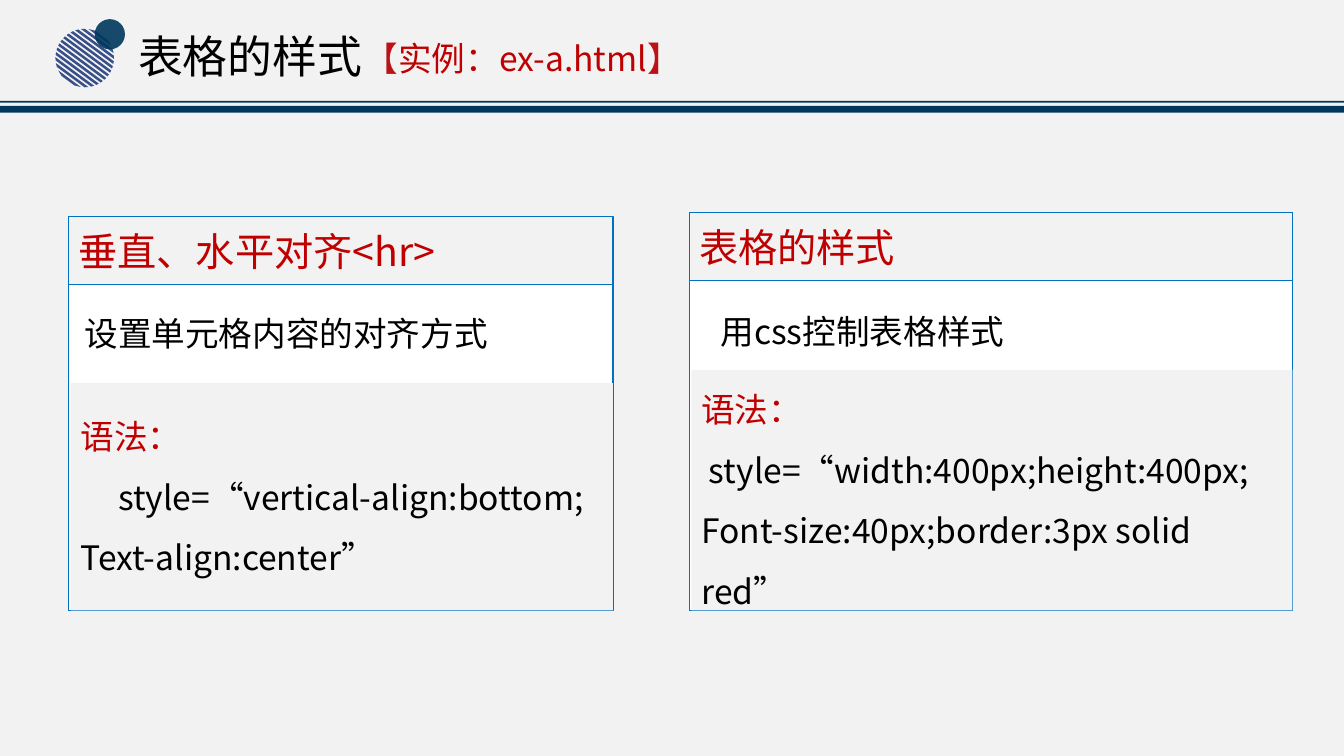
from math import sqrt
from lxml.etree import SubElement as Sub
from pptx import Presentation
from pptx.dml.color import RGBColor as Rgb
from pptx.enum.shapes import MSO_SHAPE as Kind
from pptx.enum.text import MSO_ANCHOR as Anchor, PP_ALIGN as Align
from pptx.oxml.ns import qn
from pptx.util import Pt

FONT = "Noto Sans CJK SC"
NAVY, BLUE, INDIGO = "00375D", "0070C0", "384F87"
GREY, WHITE, BLACK = "F2F2F2", "FFFFFF", "000000"
RED, CRIMSON = "C00000", "BA1216"
BASE = 436  # bottom of both cards


def paint(fmt, color):
    """Give a fill or a line fill a solid colour."""
    fmt.solid()
    fmt.fore_color.rgb = Rgb.from_string(color)


class Deck:
    def __init__(self):
        self.prs = Presentation()
        self.prs.slide_width, self.prs.slide_height = Pt(960), Pt(540)
        self.slide = self.prs.slides.add_slide(self.prs.slide_layouts[5])
        self.items = self.slide.shapes
        paint(self.slide.background.fill, GREY)

    def style(self, item, fill, line=None, width=1):
        item.shadow.inherit = False
        paint(item.fill, fill)
        if line:
            paint(item.line.fill, line)
            item.line.width = Pt(width)
        else:
            item.line.fill.background()
        return item

    def shape(self, box, fill, line=None, width=1, kind=Kind.RECTANGLE):
        item = self.items.add_shape(kind, *map(Pt, box))
        return self.style(item, fill, line, width)

    def text(self, item, paras, size, anchor=Anchor.MIDDLE):
        """Each paragraph: line spacing, first-line indent, (text, colour) runs."""
        frame = item.text_frame
        for key, val in {"word_wrap": True, "vertical_anchor": anchor}.items():
            setattr(frame, key, val)
        for i, (space, indent, runs) in enumerate(paras):
            para = frame.add_paragraph() if i else frame.paragraphs[0]
            look = {"alignment": Align.LEFT, "line_spacing": space}
            for key, val in look.items():
                setattr(para, key, val)
            if indent:
                para._p.get_or_add_pPr().set("indent", str(Pt(indent)))
            for words, color in runs:
                run = para.add_run()
                run.text = words
                for key, val in {"name": FONT, "size": Pt(size)}.items():
                    setattr(run.font, key, val)
                paint(run.font.fill, color)
                Sub(run._r.get_or_add_rPr(), qn("a:ea"), typeface=FONT)

    def label(self, box, paras, size):
        item = self.items.add_textbox(*map(Pt, box))
        self.text(item, paras, size, Anchor.TOP)

    def title(self, box, words):
        item = self.items.title
        names = ("left", "top", "width", "height")
        for key, val in zip(names, box):
            setattr(item, key, Pt(val))
        self.text(item, [(0.9, 0, [(words, BLACK)])], 32)

    def disc(self, x, y, r, pitch, band, turn):
        """Circle made of stripes, turned about its centre."""
        outline = None
        for k in range(-6, 7):
            top, low = k * pitch - band / 2, k * pitch + band / 2
            a, b = (sqrt(r * r - v * v) for v in (top, low))
            ends = [(-a, top), (a, top), (b, low), (-b, low)]
            pts = [(Pt(x + u), Pt(y + v)) for u, v in ends]
            if outline is None:
                outline = self.items.build_freeform(*pts[0])
            else:
                outline.move_to(*pts[0])
            outline.add_line_segments(pts[1:], close=True)
        self.style(outline.convert_to_shape(), INDIGO).rotation = turn

    def card(self, x, y, w, split, head, note, spot, code):
        self.shape((x, y, w, BASE - y), WHITE, BLUE)
        top = self.shape((x, y, w, 48.2), GREY, BLUE, 0.5)
        self.text(top, [(None, 0, [(head, RED)])], 28)
        self.label((*spot, 360, 40), [(1.25, 0, [(note, BLACK)])], 24)
        body = self.shape((x + 1.4, split, w - 1.4, BASE - split), GREY)
        self.text(body, code, 24)


def main():
    deck = Deck()

    # Header rules and emblem
    for y, h in ((75.6, 5), (72, 1.4)):
        deck.shape((0, y, 960, h), NAVY)
    deck.disc(60.5, 41.5, 20.9, 3.2, 1.8, 36.4)
    dot = deck.shape((67.7, 13.7, 21.6, 21.6), NAVY, kind=Kind.OVAL)
    color = next(dot.element.spPr.iter(qn("a:srgbClr")))
    Sub(color, qn("a:alpha"), val="90000")

    # Title and example name
    deck.title((91.4, 12.2, 471.6, 59.8), "表格的样式")
    runs = [("【", CRIMSON), ("实例：ex-a.html", RED), ("】", CRIMSON)]
    deck.label((253.4, 23.8, 274, 36), [(None, 0, runs)], 24)

    # Alignment card
    deck.card(49, 154.8, 388.8, 273.6, "垂直、水平对齐<hr>",
              "设置单元格内容的对齐方式", (53.3, 212.4), [
                  (None, 0, [("语法：", RED)]),
                  (1.5, 27, [("style=“vertical-align:bottom;", BLACK)]),
                  (1.5, 0, [("Text-align:center”", BLACK)])])

    # Table style card
    deck.card(492.5, 152, 430.6, 264.2, "表格的样式",
              "用css控制表格样式", (507.6, 211), [
                  (1.5, 0, [("语法：", RED)]),
                  (1.5, 5.4, [("style=“width:400px;height:400px;", BLACK)]),
                  (1.5, 0, [("Font-size:40px;border:3px solid red”", BLACK)])])

    deck.prs.save("out.pptx")


if __name__ == "__main__":
    main()
